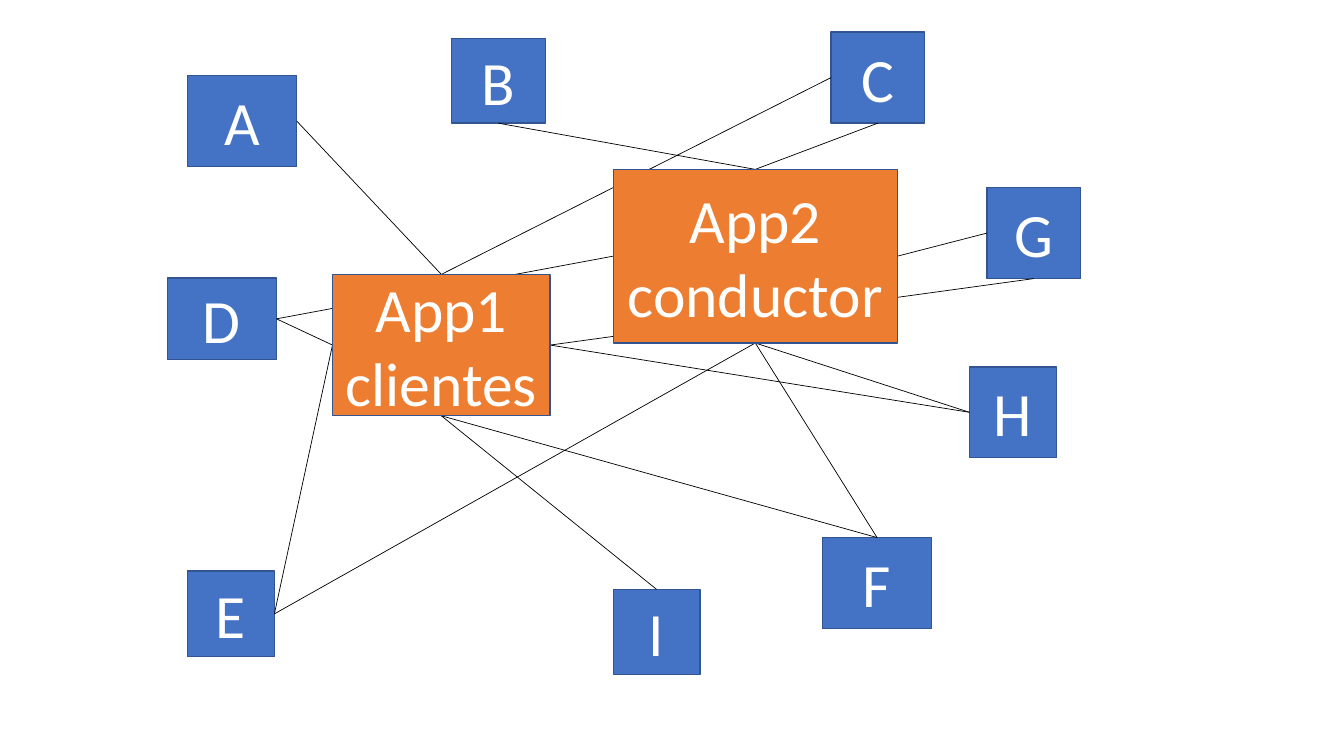
from lxml import etree
from pptx import Presentation
from pptx.dml.color import RGBColor
from pptx.enum.shapes import MSO_CONNECTOR, MSO_SHAPE
from pptx.enum.text import MSO_ANCHOR, PP_ALIGN
from pptx.oxml.ns import qn
from pptx.util import Pt

RECTANGLE = MSO_SHAPE.RECTANGLE
STRAIGHT = MSO_CONNECTOR.STRAIGHT
MIDDLE = MSO_ANCHOR.MIDDLE
CENTER = PP_ALIGN.CENTER

BLUE = RGBColor(0x44, 0x72, 0xC4)
ORANGE = RGBColor(0xED, 0x7D, 0x31)
OUTLINE = RGBColor(0x32, 0x54, 0x91)
WHITE = RGBColor(0xFF, 0xFF, 0xFF)
BLACK = RGBColor(0, 0, 0)

TOP, LEFT, BOTTOM, RIGHT = range(4)

USERS = {
    "A": (134, 54, 78, 65),
    "C": (593.5, 23, 67, 65),
    "D": (119.5, 198.5, 78, 58.5),
    "G": (705, 134, 67, 65),
    "E": (134, 408, 62, 61),
    "H": (692.5, 262, 62, 65),
    "B": (322.5, 27.5, 67, 60.5),
    "I": (438, 421, 62, 61),
    "F": (587.5, 384, 78, 65),
}
APPS = {
    "App2\nconductor": (438, 121, 203, 124),
    "App1\nclientes": (237.5, 196, 155.5, 101),
}
CONDUCTOR_APP, CLIENT_APP = APPS

LINKS = [
    ("C", LEFT, CLIENT_APP, TOP),
    ("A", RIGHT, CLIENT_APP, TOP),
    ("B", BOTTOM, CONDUCTOR_APP, TOP),
    ("C", BOTTOM, CONDUCTOR_APP, TOP),
    ("D", RIGHT, CLIENT_APP, LEFT),
    ("D", RIGHT, CONDUCTOR_APP, LEFT),
    ("E", RIGHT, CLIENT_APP, LEFT),
    ("E", RIGHT, CONDUCTOR_APP, BOTTOM),
    ("F", TOP, CONDUCTOR_APP, BOTTOM),
    ("F", TOP, CLIENT_APP, BOTTOM),
    ("I", TOP, CLIENT_APP, BOTTOM),
    ("H", LEFT, CONDUCTOR_APP, BOTTOM),
    ("H", LEFT, CLIENT_APP, RIGHT),
    ("G", LEFT, CONDUCTOR_APP, RIGHT),
    ("G", BOTTOM, CLIENT_APP, RIGHT),
]


def add_node(slide, label, box, color):
    shape = slide.shapes.add_shape(RECTANGLE, *map(Pt, box))
    shape.shadow.inherit = False
    shape.fill.solid()
    shape.fill.fore_color.rgb = color
    shape.line.color.rgb = OUTLINE
    shape.line.width = Pt(1)
    frame = shape.text_frame
    frame.word_wrap = True
    frame.vertical_anchor = MIDDLE
    frame.text = label
    for paragraph in frame.paragraphs:
        paragraph.alignment = CENTER
        paragraph.font.name = "Calibri"
        paragraph.font.size = Pt(44)
        paragraph.font.color.rgb = WHITE
    return shape


def add_link(slide):
    connector = slide.shapes.add_connector(STRAIGHT, Pt(0), Pt(0), Pt(0), Pt(0))
    connector.line.color.rgb = BLACK
    connector.line.width = Pt(0.5)
    etree.SubElement(connector._element.spPr, qn("a:effectLst"))
    return connector


def add_network(slide, left, top):
    def add_nodes(boxes, color):
        return {
            label: add_node(slide, label, (left + x, top + y, width, height), color)
            for label, (x, y, width, height) in boxes.items()
        }

    nodes = add_nodes(USERS, BLUE)
    connectors = [add_link(slide) for _ in LINKS]
    nodes.update(add_nodes(APPS, ORANGE))
    for connector, (user, user_side, app, app_side) in zip(connectors, LINKS):
        connector.begin_connect(nodes[user], user_side)
        connector.end_connect(nodes[app], app_side)


presentation = Presentation()
presentation.slide_width = Pt(960)
presentation.slide_height = Pt(540)
slide = presentation.slides.add_slide(presentation.slide_layouts[6])
add_network(slide, 0, 0)
presentation.save("out.pptx")
